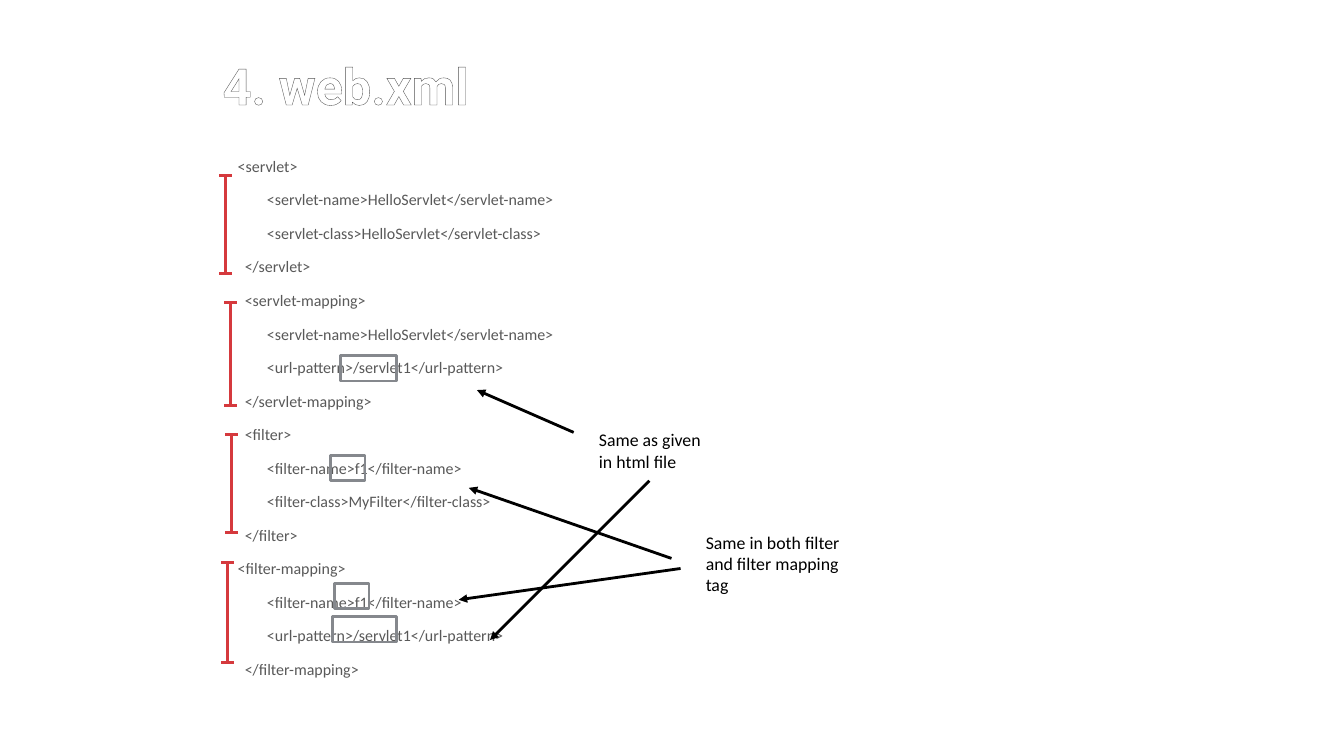
"""Build the web.xml slide: code listing, tag brackets, highlights and notes."""
from lxml.etree import SubElement
from pptx import Presentation
from pptx.dml.color import RGBColor
from pptx.enum.shapes import MSO_CONNECTOR as Connector, MSO_SHAPE as Shape
from pptx.enum.text import MSO_ANCHOR as Anchor
from pptx.oxml.ns import qn
from pptx.util import Inches, Pt

COLORS = {"title": "FFFFFF", "outline": "545454", "code": "595959",
          "bracket": "D5393D", "highlight": "85888D", "note": "000000"}
TITLE = "4. web.xml"
INDENTS = (0.36, 0.43, 0.65)
CODE = [
    (0, "<servlet>"),
    (2, "<servlet-name>HelloServlet</servlet-name>"),
    (2, "<servlet-class>HelloServlet</servlet-class>"),
    (1, "</servlet>"),
    (1, "<servlet-mapping>"),
    (2, "<servlet-name>HelloServlet</servlet-name>"),
    (2, "<url-pattern>/servlet1</url-pattern>"),
    (1, "</servlet-mapping>"),
    (1, "<filter>"),
    (2, "<filter-name>f1</filter-name>"),
    (2, "<filter-class>MyFilter</filter-class>"),
    (1, "</filter>"),
    (0, "<filter-mapping>"),
    (2, "<filter-name>f1</filter-name>"),
    (2, "<url-pattern>/servlet1</url-pattern>"),
    (1, "</filter-mapping>"),
]
BRACKETS = [(2.24, 1.74, 2.71), (2.29, 3.0, 4.02), (2.3, 4.31, 5.28), (2.26, 5.58, 6.57)]
CAP_HALF = 0.065
HIGHLIGHTS = [(3.38, 3.53, 0.55), (3.3, 6.12, 0.63), (3.28, 4.52, 0.34), (3.32, 5.79, 0.34)]
HIGHLIGHT_HEIGHT = 0.25
NOTES = [
    ((5.9, 4.22, 1.11, 0.5), ["Same as given", "in html file"]),
    ((6.96, 5.34, 1.62, 0.5), ["Same in both filter", "and filter mapping tag"]),
]
ARROWS = [((5.69, 4.29), (4.73, 3.87)), ((6.44, 4.77), (4.86, 6.35)),
          ((6.66, 5.54), (4.65, 4.84)), ((6.75, 5.64), (4.55, 5.95))]


def rgb(role):
    return RGBColor.from_string(COLORS[role])


def add_text(slide, box, lines, font, size, role, inset=0.1):
    frame = slide.shapes.add_textbox(*map(Inches, box)).text_frame
    frame.word_wrap = True
    frame.vertical_anchor = Anchor.MIDDLE
    frame.margin_left = frame.margin_right = Inches(inset)
    frame.margin_top = frame.margin_bottom = Inches(min(inset, 0.05))
    frame.text = "\n".join(lines)
    for paragraph in frame.paragraphs:
        paragraph.font.name = font
        paragraph.font.size = Pt(size)
        paragraph.font.color.rgb = rgb(role)
    return frame.paragraphs


def add_line(slide, start, end, role, arrow=False):
    line = slide.shapes.add_connector(Connector.STRAIGHT, *map(Inches, start + end))
    line.line.color.rgb = rgb(role)
    line.line.width = Pt(2)
    properties = line.line._get_or_add_ln()
    if arrow:
        SubElement(properties, qn("a:tailEnd"), type="triangle")
    SubElement(properties.getparent(), qn("a:effectLst"))


def add_title(slide):
    title = add_text(slide, (2.11, 0.46, 8.54, 0.84), [TITLE], "Roboto", 36, "title")[0]
    title.line_spacing = 0.9
    font = title.runs[0].font
    font.bold = True
    font.size = Pt(36)
    font.name = "Roboto"
    font.color.rgb = rgb("title")
    properties = title.runs[0]._r.get_or_add_rPr()
    outline = SubElement(properties, qn("a:ln"), w=str(Pt(1)))
    fill = SubElement(outline, qn("a:solidFill"))
    SubElement(fill, qn("a:srgbClr"), val=COLORS["outline"])
    properties.insert(0, outline)


def add_code(slide):
    paragraphs = add_text(slide, (1.9, 1.51, 9.04, 5.31), [text for _, text in CODE],
                          "Calibri", 11.4, "code")
    for paragraph, (level, _) in zip(paragraphs, CODE):
        paragraph.line_spacing = 0.7
        paragraph.space_before = Pt(11.9)
        paragraph.space_after = Pt(2.5)
        properties = paragraph._p.get_or_add_pPr()
        properties.set("marL", str(Inches(INDENTS[level])))
        properties.set("indent", "0")


def main():
    deck = Presentation()
    deck.slide_width, deck.slide_height = Inches(13.33), Inches(7.5)
    slide = deck.slides.add_slide(deck.slide_layouts[6])
    add_title(slide)
    add_code(slide)
    for x, top, bottom in BRACKETS:
        add_line(slide, (x, bottom), (x, top), "bracket")
        for y in (top, bottom):
            add_line(slide, (x - CAP_HALF, y), (x + CAP_HALF, y), "bracket")
    for left, top, width in HIGHLIGHTS:
        box = map(Inches, (left, top, width, HIGHLIGHT_HEIGHT))
        highlight = slide.shapes.add_shape(Shape.RECTANGLE, *box)
        highlight.shadow.inherit = False
        highlight.fill.background()
        highlight.line.color.rgb = rgb("highlight")
        highlight.line.width = Pt(2)
    for box, lines in NOTES:
        add_text(slide, box, lines, "Calibri", 12.7, "note", inset=0.04)
    for start, end in ARROWS:
        add_line(slide, start, end, "note", arrow=True)
    deck.save("out.pptx")


if __name__ == "__main__":
    main()
